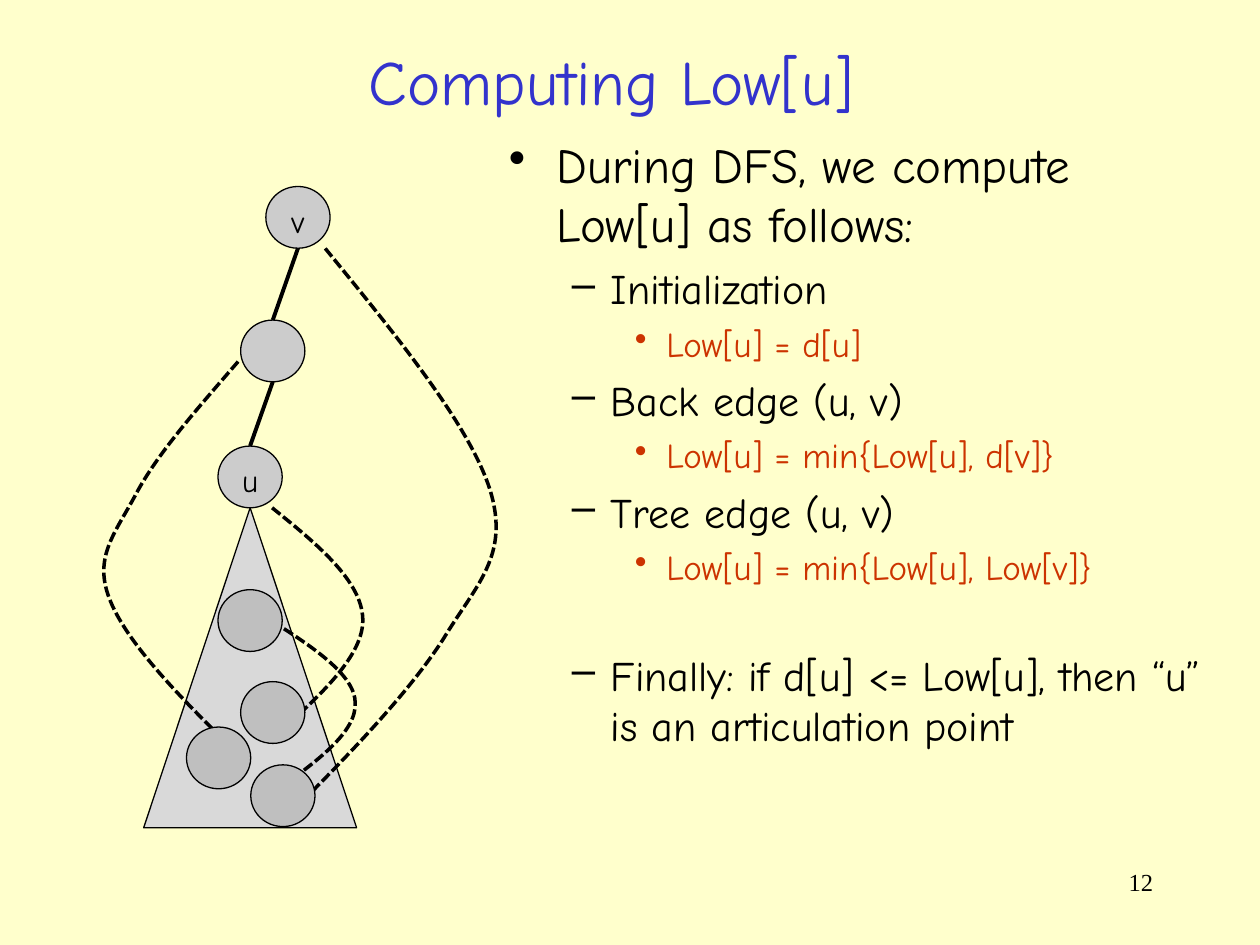
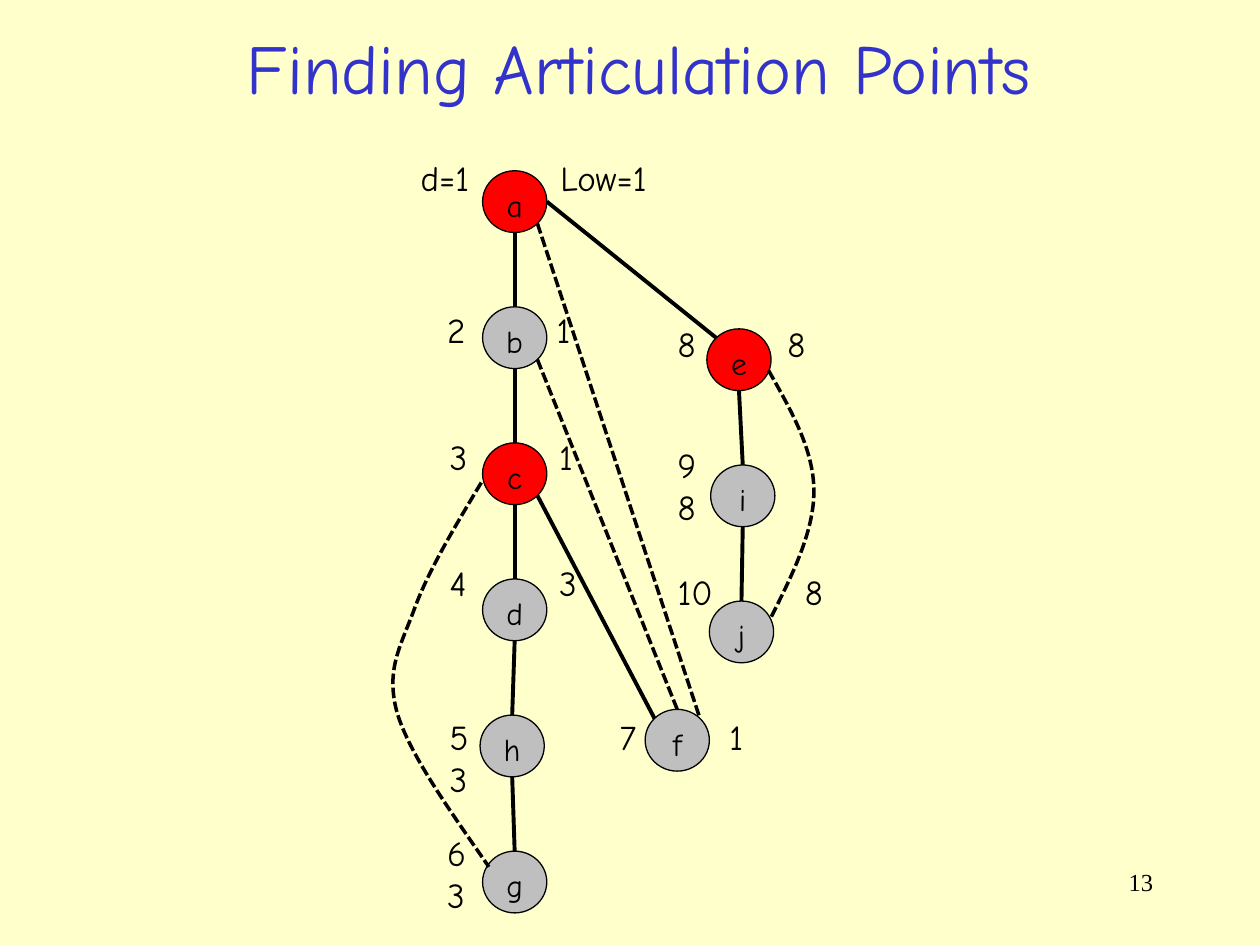
from dataclasses import dataclass
from math import cos, radians, sin

from pptx import Presentation
from pptx.dml.color import RGBColor as RGB
from pptx.enum.dml import MSO_LINE_DASH_STYLE as DASH
from pptx.enum.shapes import MSO_CONNECTOR as LINE, MSO_SHAPE as SHAPE
from pptx.enum.text import MSO_ANCHOR as ANCHOR, PP_ALIGN as ALIGN
from pptx.oxml.ns import qn
from pptx.oxml.xmlchemy import OxmlElement as Element
from pptx.util import Inches, Pt

COLS, ROWS = 100, 75  # square grid over the slide
NODE_W, NODE_H = 5.1, 4.9
ANGLES = {"E": 0, "SE": 45, "S": 90, "W": 180, "NW": 225, "N": 270, "NE": 315}


@dataclass(frozen=True)
class Theme:
    font: str = "Comic Neue"
    number_font: str = "Times New Roman"
    page: str = "FFFFCC"
    ink: str = "000000"
    title: str = "3333CC"
    accent: str = "CC3300"
    path_node: str = "CCCCCC"
    node: str = "BFBFBF"
    subtree: str = "D9D9D9"
    cut_node: str = "FF0000"
    number_size: int = 14
    node_size: int = 18
    label_size: int = 20
    outline: float = 0.75
    tree_edge: float = 2.25
    back_edge: float = 2


# Bullet levels: left margin, hanging indent (inches), space before, size, sign, colour
LEVELS = [
    (0.38, 0.38, 0, 28, "•", Theme.ink),
    (0.81, 0.31, 6, 24, "–", Theme.ink),
    (1.25, 0.25, 5, 20, "•", Theme.accent),
]


def add_child(parent, tag, **attrs):
    child = Element(tag)
    for name, value in attrs.items():
        child.set(name, str(value))
    parent.append(child)
    return child


def site(node, side):
    """Point on a node's rim, in grid units."""
    x, y = node
    a = radians(ANGLES[side])
    return x + NODE_W / 2 * (1 + cos(a)), y + NODE_H / 2 * (1 + sin(a))


class Deck:
    def __init__(self, theme):
        self.theme = theme
        self.prs = Presentation()
        self.prs.slide_width, self.prs.slide_height = Inches(10), Inches(7.5)
        self.s = None

    def x(self, cols):
        return round(self.prs.slide_width * cols / COLS)

    def y(self, rows):
        return round(self.prs.slide_height * rows / ROWS)

    def box(self, x, y, w, h):
        return self.x(x), self.y(y), self.x(w), self.y(h)

    def style(self, p, size, color=None, font=None, align=ALIGN.LEFT):
        p.alignment = align
        p.font.size = Pt(size)
        p.font.name = font or self.theme.font
        p.font.color.rgb = RGB.from_string(color or self.theme.ink)

    def stroke(self, line, width, dashed=False):
        line.color.rgb = RGB.from_string(self.theme.ink)
        line.width = Pt(width)
        if dashed:
            line.dash_style = DASH.SQUARE_DOT

    def slide(self, number, title, size, area):
        """Start a slide with its background, page number and title."""
        self.s = self.prs.slides.add_slide(self.prs.slide_layouts[6])
        fill = self.s.background.fill
        fill.solid()
        fill.fore_color.rgb = RGB.from_string(self.theme.page)
        p = self.text(71.7, 68.3, 20.8, 5, str(number)).paragraphs[0]
        self.style(p, self.theme.number_size, font=self.theme.number_font, align=ALIGN.RIGHT)
        tf = self.text(*area, title)
        tf.vertical_anchor = ANCHOR.MIDDLE
        self.style(tf.paragraphs[0], size, self.theme.title, align=ALIGN.CENTER)

    def text(self, x, y, w, h, text=""):
        tf = self.s.shapes.add_textbox(*self.box(x, y, w, h)).text_frame
        tf.word_wrap = True
        tf.text = text
        return tf

    def label(self, x, y, w, h, text, tab):
        """Discovery time and low value, parted by a tab stop or a line break."""
        p = self.text(x, y, w, h, text).paragraphs[0]
        if "\t" in text:
            tabs = add_child(p._p.get_or_add_pPr(), "a:tabLst")
            add_child(tabs, "a:tab", pos=self.x(tab), algn="l")
        self.style(p, self.theme.label_size)

    def bullets(self, area, items):
        tf = self.text(*area)
        for i, (level, text, extra) in enumerate(items):
            p = tf.add_paragraph() if i else tf.paragraphs[0]
            p.text = text
            p.level = level
            margin, hang, before, size, sign, color = LEVELS[level]
            pPr = p._p.get_or_add_pPr()
            pPr.set("marL", str(Inches(margin)))
            pPr.set("indent", str(-Inches(hang)))
            add_child(add_child(pPr, "a:buClr"), "a:srgbClr", val=color)
            add_child(pPr, "a:buChar", char=sign)
            p.space_before = Pt(before + extra)
            self.style(p, size, color)

    def shape(self, kind, x, y, w, h, fill):
        sp = self.s.shapes.add_shape(kind, *self.box(x, y, w, h))
        sp.shadow.inherit = False
        sp.fill.solid()
        sp.fill.fore_color.rgb = RGB.from_string(fill)
        self.stroke(sp.line, self.theme.outline)
        return sp

    def node(self, at, fill, name=""):
        sp = self.shape(SHAPE.OVAL, *at, NODE_W, NODE_H, fill)
        if name:
            tf = sp.text_frame
            tf.text = name
            tf.vertical_anchor = ANCHOR.TOP
            self.style(tf.paragraphs[0], self.theme.node_size, align=ALIGN.CENTER)

    def edge(self, start, end, back=False):
        (x1, y1), (x2, y2) = start, end
        cxn = self.s.shapes.add_connector(
            LINE.STRAIGHT, self.x(x1), self.y(y1), self.x(x2), self.y(y2))
        width = self.theme.back_edge if back else self.theme.tree_edge
        self.stroke(cxn.line, width, back)
        add_child(cxn._element.spPr, "a:effectLst")

    def curve(self, *points):
        """Dashed Bézier: a start, then two control points and an end per segment."""
        pts = [(self.x(x), self.y(y)) for x, y in points]
        builder = self.s.shapes.build_freeform(*pts[0])
        builder.add_line_segments(pts[1:], close=False)
        sp = builder.convert_to_shape()
        # Gather each three straight segments into one cubic segment
        lines = list(sp._element.iter(qn("a:lnTo")))
        for i in range(0, len(lines), 3):
            cubic = Element("a:cubicBezTo")
            lines[i].addprevious(cubic)
            for line in lines[i:i + 3]:
                cubic.append(line[0])
                line.getparent().remove(line)
        sp.shadow.inherit = False
        sp.fill.background()
        self.stroke(sp.line, self.theme.back_edge, True)


def low_slide(d):
    t = d.theme
    d.slide(12, "Computing Low[u]", 36, (3.7, 2.6, 89.6, 7.6))
    d.bullets((39.4, 10.2, 57.8, 59.6), [
        (0, "During DFS, we compute Low[u] as follows:", 0),
        (1, "Initialization", 0),
        (2, "Low[u] = d[u]", 0),
        (1, "Back edge (u, v)", 0),
        (2, "Low[u] = min{Low[u], d[v]}", 0),
        (1, "Tree edge (u, v)", 0),
        (2, "Low[u] = min{Low[u], Low[v]}", 0),
        (1, "Finally: if d[u] <= Low[u], then “u” is an articulation point", 29.5),
    ])

    # Path from v down to u, and the subtree below u
    v, middle, u = (21.1, 14.8), (19.1, 25.4), (17.3, 35.4)
    for at, name in ((u, "u"), (middle, ""), (v, "v")):
        d.node(at, t.path_node, name)
    d.shape(SHAPE.ISOSCELES_TRIANGLE, 11.4, 40.3, 16.9, 25.4, t.subtree)
    for parent, child in ((v, middle), (middle, u)):
        d.edge(site(parent, "S"), site(child, "N"))

    # Back edges out of the subtree
    d.curve((18.9, 28.7), (15.7, 32.4), (12.5, 36), (10.8, 39.2),
            (9.1, 42.4), (7.3, 44.3), (8.8, 47.8), (10.3, 51.4), (15, 56.1), (19.8, 60.7))
    d.curve((21.6, 49.3), (24.9, 51.4), (28.2, 53.6), (28.2, 55.8),
            (28.3, 58.1), (25.2, 60.4), (22, 62.7))
    d.curve((21.6, 40.3), (25.2, 43.2), (28.7, 46.1), (28.8, 49.1),
            (28.9, 52), (25.5, 55.1), (22.1, 58.2))
    d.curve((23.2, 64.4), (27.9, 59.7), (32.5, 54.9), (35.2, 50.7),
            (37.8, 46.4), (40.5, 44.1), (38.9, 38.9), (37.3, 33.8), (31.6, 26.8), (25.8, 19.7))
    for at in ((19.9, 60.7), (19.1, 54.1), (14.8, 57.7), (17.3, 46.8)):
        d.node(at, t.node)


def articulation_slide(d):
    t = d.theme
    d.slide(13, "Finding Articulation Points", 40, (3, 1.5, 95.4, 7.6))

    # DFS tree: two evenly spaced columns and the leaf f
    step = 10.8
    nodes = {name: (38.3, 13.55 + i * step) for i, name in enumerate("abcdhg")}
    nodes["h"] = (38.1, nodes["h"][1])
    nodes["f"] = (51.2, 56.3)
    for i, (name, x) in enumerate(zip("eij", (56.1, 56.4, 56.3))):
        nodes[name] = (x, 26.1 + i * step)
    for name, at in nodes.items():
        d.node(at, t.cut_node if name in "ace" else t.node, name)

    for parent, child in ("ab", "bc", "cd", "dh", "hg", "ei", "ij"):
        d.edge(site(nodes[parent], "S"), site(nodes[child], "N"))
    d.edge(site(nodes["c"], "SE"), site(nodes["f"], "NW"))
    d.edge(site(nodes["a"], "E"), site(nodes["e"], "NW"))

    # Back edges
    d.curve((38.2, 38.3), (36.1, 41.8), (34, 45.3), (32.9, 48.3),
            (31.8, 51.3), (30.6, 53.1), (31.5, 56.5), (32.5, 59.9), (35.7, 64.3), (38.8, 68.8))
    d.edge(site(nodes["b"], "SE"), site(nodes["f"], "N"), back=True)
    d.edge(site(nodes["a"], "SE"), site(nodes["f"], "NE"), back=True)
    d.curve((61, 29.4), (62.8, 32.6), (64.6, 35.7), (64.6, 39),
            (64.6, 42.2), (62.9, 45.6), (61.2, 49))

    # Discovery times and low values
    d.label(32.4, 11.9, 21, 4.4, "d=1\tLow=1", 11.1)
    for x, y, text in (
        (34.5, 24, "2\t1"), (34.7, 34.1, "3\t1"), (34.7, 44.1, "4\t3"),
        (34.7, 56.3, "5\v3"), (34.5, 65.5, "6\v3"), (48.2, 56.3, "7\t1"),
        (52.8, 25.1, "8\t8"), (52.8, 34.7, "9\v8"),
    ):
        d.label(x, y, 13, 7.7 if "\v" in text else 4.4, text, 8.7)
    d.label(52.8, 44.8, 14.4, 4.4, "10\t8", 10.1)


def main():
    d = Deck(Theme())
    low_slide(d)
    articulation_slide(d)
    d.prs.save("out.pptx")


if __name__ == "__main__":
    main()
